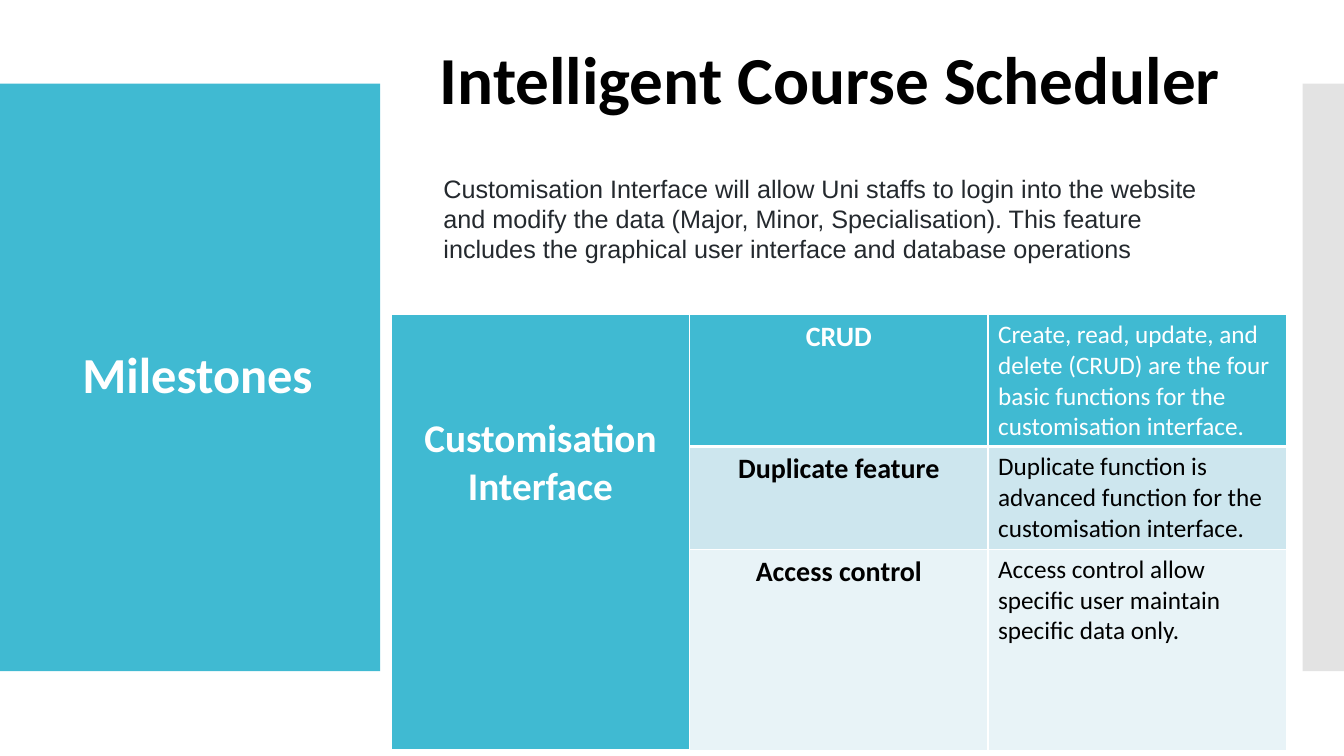
from dataclasses import dataclass
from typing import Optional

from lxml import etree
from pptx import Presentation
from pptx.dml.color import RGBColor
from pptx.enum.shapes import MSO_SHAPE
from pptx.enum.text import MSO_ANCHOR, MSO_AUTO_SIZE, PP_ALIGN
from pptx.oxml.ns import qn
from pptx.util import Inches, Pt

RECT = MSO_SHAPE.RECTANGLE
LEFT, CENTER = PP_ALIGN.LEFT, PP_ALIGN.CENTER
TOP, MIDDLE = MSO_ANCHOR.TOP, MSO_ANCHOR.MIDDLE
NO_FIT = MSO_AUTO_SIZE.NONE


@dataclass(frozen=True)
class Theme:
    accent: str = "40BAD2"
    band_dark: str = "CDE6EE"
    band_light: str = "E8F3F7"
    side: str = "C8C8C8"
    white: str = "FFFFFF"
    black: str = "000000"
    body: str = "24292E"
    heading_font: str = "Calibri"
    body_font: str = "Arial"
    heading_size: int = 48
    title_size: int = 36
    group_size: int = 28
    feature_size: int = 20
    text_size: int = 18


THEME = Theme()


@dataclass(frozen=True)
class Box:
    left: float
    top: float
    width: float
    height: float

    def emu(self) -> tuple:
        return tuple(Inches(v) for v in (self.left, self.top, self.width, self.height))


@dataclass(frozen=True)
class Panel:
    box: Box
    color: str
    opacity: Optional[int] = None


@dataclass(frozen=True)
class Style:
    size: int
    color: str
    bold: bool = False
    align: PP_ALIGN = LEFT
    font: str = THEME.heading_font


@dataclass(frozen=True)
class Milestone:
    feature: str
    detail: str
    height: float
    fill: str
    color: str
    bottom: int = 1


PANELS = [
    Panel(Box(0, 0.83, 3.77, 5.83), THEME.accent),
    Panel(Box(12.92, 0.83, 0.41, 5.83), THEME.side, 50),
]
MILESTONES = [
    Milestone("CRUD", "Create, read, update, and delete (CRUD) are the four basic "
              "functions for the customisation interface.",
              1.31, THEME.accent, THEME.white, 3),
    Milestone("Duplicate feature", "Duplicate function is advanced function for the "
              "customisation interface.", 1.02, THEME.band_dark, THEME.black),
    Milestone("Access control", "Access control allow specific user maintain specific "
              "data only.", 2.0, THEME.band_light, THEME.black),
]
SUMMARY = ("Customisation Interface will allow Uni staffs to login into the website and "
           "modify the data (Major, Minor, Specialisation). This feature includes the "
           "graphical user interface and database operations")


def write(tf, text: str, style: Style) -> None:
    tf.word_wrap = True
    p = tf.paragraphs[0]
    p.alignment = style.align
    r = p.add_run()
    r.text = text
    r.font.name = style.font
    r.font.size = Pt(style.size)
    r.font.bold = style.bold
    r.font.color.rgb = RGBColor.from_string(style.color)


def add_panel(s, panel: Panel) -> None:
    sp = s.shapes.add_shape(RECT, *panel.box.emu())
    sp.shadow.inherit = False
    sp.line.fill.background()
    sp.fill.solid()
    sp.fill.fore_color.rgb = RGBColor.from_string(panel.color)
    if panel.opacity is not None:
        color = sp.fill._xPr.find(qn("a:solidFill"))[0]
        etree.SubElement(color, qn("a:alpha"), val=str(panel.opacity * 1000))


def set_title(s, text: str, box: Box, style: Style) -> None:
    sp = s.shapes.title
    sp.left, sp.top, sp.width, sp.height = box.emu()
    tf = sp.text_frame
    tf.auto_size = NO_FIT
    tf.vertical_anchor = MIDDLE
    write(tf, text, style)
    tf.paragraphs[0].line_spacing = 0.9


def add_text(s, text: str, box: Box, style: Style) -> None:
    write(s.shapes.add_textbox(*box.emu()).text_frame, text, style)


def format_cell(cell, fill: str, bottom: int) -> None:
    tc_pr = cell._tc.get_or_add_tcPr()
    for side, width in (("L", 1), ("R", 1), ("T", 1), ("B", bottom)):
        line = etree.SubElement(tc_pr, qn(f"a:ln{side}"), w=str(Pt(width)))
        solid = etree.SubElement(line, qn("a:solidFill"))
        etree.SubElement(solid, qn("a:srgbClr"), val=THEME.white)
    cell.fill.solid()
    cell.fill.fore_color.rgb = RGBColor.from_string(fill)
    cell.vertical_anchor = TOP


def add_milestones(s, group: str, milestones: list[Milestone]) -> None:
    height = sum(m.height for m in milestones)
    box = Box(3.88, 3.12, 8.88, height)
    table = s.shapes.add_table(len(milestones), 3, *box.emu()).table
    for i, m in enumerate(milestones):
        table.rows[i].height = Inches(m.height)
        for cell in table.rows[i].cells:
            format_cell(cell, m.fill, m.bottom)
        write(table.cell(i, 1).text_frame, m.feature,
              Style(THEME.feature_size, m.color, True, CENTER))
        write(table.cell(i, 2).text_frame, m.detail, Style(THEME.text_size, m.color))
    head = table.cell(0, 0)
    head.merge(table.cell(len(milestones) - 1, 0))
    head.margin_top = Inches(1)
    write(head.text_frame, group, Style(THEME.group_size, THEME.white, True, CENTER))


def main() -> None:
    prs = Presentation()
    prs.slide_width, prs.slide_height = Inches(13.33), Inches(7.5)
    s = prs.slides.add_slide(prs.slide_layouts[5])
    for panel in PANELS:
        add_panel(s, panel)
    title = s.shapes.title._element
    title.getparent().append(title)
    set_title(s, "Milestones", Box(0.28, 1.23, 3.36, 5.03),
              Style(THEME.title_size, THEME.white, True, CENTER))
    add_text(s, "Intelligent Course Scheduler", Box(3.46, 0.32, 9.55, 0.91),
             Style(THEME.heading_size, THEME.black, True, CENTER))
    add_milestones(s, "Customisation Interface", MILESTONES)
    add_text(s, SUMMARY, Box(4.3, 1.67, 8.04, 1.01),
             Style(THEME.text_size, THEME.body, font=THEME.body_font))
    prs.save("out.pptx")


if __name__ == "__main__":
    main()
